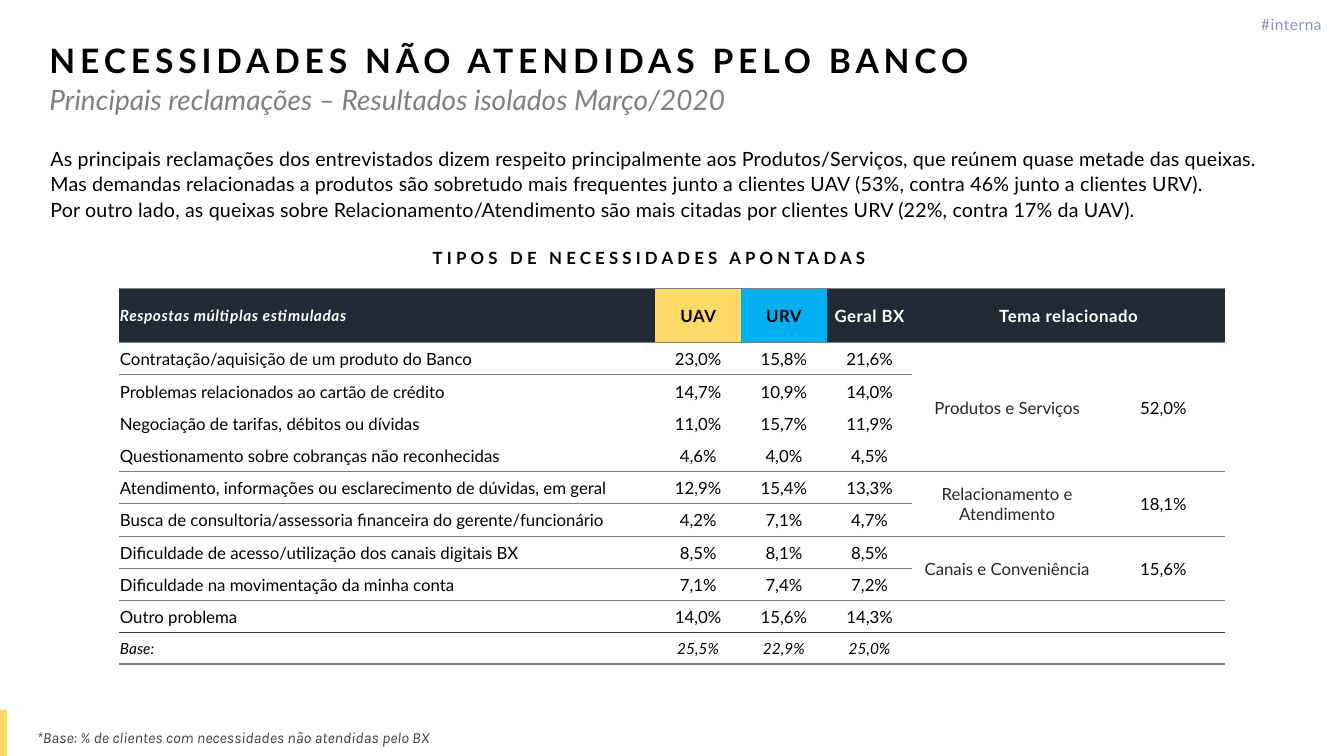
from pptx import Presentation
from pptx.dml.color import RGBColor
from pptx.enum.shapes import MSO_SHAPE
from pptx.enum.text import MSO_ANCHOR, MSO_AUTO_SIZE, PP_ALIGN
from pptx.oxml.ns import qn
from pptx.util import Inches, Pt
from lxml import etree

LEFT, CENTER, RIGHT = PP_ALIGN.LEFT, PP_ALIGN.CENTER, PP_ALIGN.RIGHT
TOP, MIDDLE = MSO_ANCHOR.TOP, MSO_ANCHOR.MIDDLE
NO_AUTOFIT = MSO_AUTO_SIZE.NONE
RECTANGLE = MSO_SHAPE.RECTANGLE

BLACK = RGBColor(0x00, 0x00, 0x00)
WHITE = RGBColor(0xFF, 0xFF, 0xFF)
GRAY = RGBColor(0x80, 0x80, 0x80)
RULE_GRAY = RGBColor(0x7F, 0x7F, 0x7F)
DARK_GRAY = RGBColor(0x40, 0x40, 0x40)
THEME_GRAY = RGBColor(0x26, 0x26, 0x26)
LABEL_BLUE = RGBColor(0x84, 0x97, 0xB0)
NAVY = RGBColor(0x22, 0x2B, 0x35)
YELLOW = RGBColor(0xFF, 0xD9, 0x66)
CYAN = RGBColor(0x00, 0xB0, 0xF0)

TITLE = "NECESSIDADES NÃO ATENDIDAS PELO BANCO"
SUBTITLE = "Principais reclamações – Resultados isolados Março/2020"
SUMMARY = (
    "As principais reclamações dos entrevistados dizem respeito principalmente aos "
    "Produtos/Serviços, que reúnem quase metade das queixas. Mas demandas relacionadas "
    "a produtos são sobretudo mais frequentes junto a clientes UAV (53%, contra 46% "
    "junto a clientes URV).\vPor outro lado, as queixas sobre Relacionamento/Atendimento "
    "são mais citadas por clientes URV (22%, contra 17% da UAV)."
)
TABLE_TITLE = "TIPOS DE NECESSIDADES APONTADAS"
FOOTNOTE = "*Base: % de clientes com necessidades não atendidas pelo BX"
CLASSIFICATION = "#interna"

HEADERS = [
    ("Respostas múltiplas estimuladas", NAVY, WHITE),
    ("UAV", YELLOW, BLACK),
    ("URV", CYAN, BLACK),
    ("Geral BX", NAVY, WHITE),
    ("Tema relacionado", NAVY, WHITE),
    ("", NAVY, WHITE),
]
ANSWERS = [
    ("Contratação/aquisição de um produto do Banco", "23,0%", "15,8%", "21,6%"),
    ("Problemas relacionados ao cartão de crédito", "14,7%", "10,9%", "14,0%"),
    ("Negociação de tarifas, débitos ou dívidas", "11,0%", "15,7%", "11,9%"),
    ("Questionamento sobre cobranças não reconhecidas", "4,6%", "4,0%", "4,5%"),
    ("Atendimento, informações ou esclarecimento de dúvidas, em geral", "12,9%", "15,4%", "13,3%"),
    ("Busca de consultoria/assessoria financeira do gerente/funcionário", "4,2%", "7,1%", "4,7%"),
    ("Dificuldade de acesso/utilização dos canais digitais BX", "8,5%", "8,1%", "8,5%"),
    ("Dificuldade na movimentação da minha conta", "7,1%", "7,4%", "7,2%"),
    ("Outro problema", "14,0%", "15,6%", "14,3%"),
    ("Base:", "25,5%", "22,9%", "25,0%"),
]
THEMES = [
    (1, 4, "Produtos e Serviços", "52,0%"),
    (5, 6, "Relacionamento e Atendimento", "18,1%"),
    (7, 8, "Canais e Conveniência", "15,6%"),
]
COLUMN_WIDTHS = [5.32, 0.85, 0.85, 0.85, 1.88, 1.22]
ROW_HEIGHTS = [0.54] + [0.32] * 9 + [0.31]
BASE_ROW = len(ANSWERS)
RULES = {
    0: (RULE_GRAY, 1),
    1: (RULE_GRAY, 1),
    5: (RULE_GRAY, 0.5),
    7: (RULE_GRAY, 0.5),
    9: (RULE_GRAY, 0.5),
    10: (DARK_GRAY, 0.5),
    11: (RULE_GRAY, 1),
}
NO_STYLE_NO_GRID = "{2D5ABB26-0587-4C30-8999-92F81FD0307C}"


def write(frame, text, size, color, font="Lato", bold=False, italic=False,
          align=LEFT, spacing=0, line=None):
    """Fill a text frame with one formatted paragraph."""
    paragraph = frame.paragraphs[0]
    paragraph.text = text
    paragraph.alignment = align
    paragraph.space_before = Pt(0)
    if line:
        paragraph.line_spacing = line
    paragraph.font.name = font
    paragraph.font.size = Pt(size)
    paragraph.font.bold = bold
    paragraph.font.italic = italic
    paragraph.font.color.rgb = color
    if spacing:
        for run in paragraph.runs:
            run._r.get_or_add_rPr().set("spc", str(round(spacing * 100)))


def format_frame(frame, left=0, right=0, anchor=TOP):
    """Set the wrapping, margins and anchor of a text frame."""
    frame.word_wrap = True
    frame.auto_size = NO_AUTOFIT
    frame.margin_left, frame.margin_right = Inches(left), Inches(right)
    frame.margin_top = frame.margin_bottom = Inches(0.05)
    frame.vertical_anchor = anchor


def add_text(slide, box, text, size, color, margins=(0, 0), **style):
    """Add a text box with one paragraph."""
    frame = slide.shapes.add_textbox(*map(Inches, box)).text_frame
    format_frame(frame, *margins)
    write(frame, text, size, color, **style)


def add_rule(cell, side, boundary):
    """Draw the horizontal rule of a row boundary on one side of a cell."""
    if boundary not in RULES:
        return
    color, width = RULES[boundary]
    border = etree.SubElement(cell._tc.get_or_add_tcPr(), qn(side), w=str(Pt(width)))
    fill = etree.SubElement(border, qn("a:solidFill"))
    etree.SubElement(fill, qn("a:srgbClr"), val=str(color))


def fill_cell(cell, text, size, color, **style):
    """Write a table cell with tight margins, centred vertically."""
    cell.margin_left = cell.margin_right = cell.margin_top = Inches(0.01)
    cell.margin_bottom = 0
    cell.vertical_anchor = MIDDLE
    write(cell.text_frame, text, size, color, **style)


def add_needs_table(slide):
    """Add the table of needs with its merged themes."""
    frame = slide.shapes.add_table(
        len(ROW_HEIGHTS), len(COLUMN_WIDTHS), Inches(1.18), Inches(2.86),
        Inches(sum(COLUMN_WIDTHS)), Inches(sum(ROW_HEIGHTS)))
    table = frame.table
    table.first_row = table.horz_banding = False
    table._tbl.tblPr.find(qn("a:tableStyleId")).text = NO_STYLE_NO_GRID
    for column, width in zip(table.columns, COLUMN_WIDTHS):
        column.width = Inches(width)
    for row, height in zip(table.rows, ROW_HEIGHTS):
        row.height = Inches(height)

    table.cell(0, 4).merge(table.cell(0, 5))
    theme_texts = {}
    for first, last, theme, share in THEMES:
        for column, text, color in ((4, theme, THEME_GRAY), (5, share, BLACK)):
            table.cell(first, column).merge(table.cell(last, column))
            theme_texts[first, column] = text, color

    for row in range(len(ROW_HEIGHTS)):
        for column, (heading, heading_fill, heading_color) in enumerate(HEADERS):
            cell = table.cell(row, column)
            add_rule(cell, "a:lnT", row)
            add_rule(cell, "a:lnB", row + (cell.span_height if cell.is_merge_origin else 1))
            align = CENTER if column else LEFT
            if row == 0:
                cell.fill.solid()
                cell.fill.fore_color.rgb = heading_fill
                fill_cell(cell, heading, 12 if column else 11, heading_color, bold=True,
                          italic=column == 0, align=align, spacing=0.4)
                continue
            cell.fill.background()
            if column < 4:
                text, color = ANSWERS[row - 1][column], BLACK
            else:
                text, color = theme_texts.get((row, column), ("", BLACK))
            is_base = row == BASE_ROW
            fill_cell(cell, text, 11 if is_base else 12, color, italic=is_base, align=align)


def main():
    """Build the slide and save it."""
    presentation = Presentation()
    presentation.slide_width, presentation.slide_height = Inches(13.33), Inches(7.5)
    slide = presentation.slides.add_slide(presentation.slide_layouts[5])

    accent = slide.shapes.add_shape(RECTANGLE, 0, Inches(7.04), Inches(0.07), Inches(0.46))
    accent.shadow.inherit = False
    accent.fill.solid()
    accent.fill.fore_color.rgb = YELLOW
    accent.line.fill.background()

    title = slide.shapes.title
    title.left, title.top = Inches(0.49), Inches(0.39)
    title.width, title.height = Inches(12.32), Inches(0.46)
    format_frame(title.text_frame, 0, 0.1, MIDDLE)
    write(title.text_frame, TITLE, 24, BLACK, bold=True, spacing=3.5, line=0.9)

    add_text(slide, (0.49, 0.81, 12.32, 0.5), SUBTITLE, 20, GRAY, italic=True, line=0.9)
    add_text(slide, (1.06, 2.41, 10.86, 0.3), TABLE_TITLE, 12, BLACK, (0, 0.1),
             bold=True, align=CENTER, spacing=3)
    add_needs_table(slide)
    add_text(slide, (0.27, 7.17, 5.53, 0.29), FOOTNOTE, 11, DARK_GRAY, (0.1, 0.1),
             font="Karla", italic=True)
    add_text(slide, (12.17, 0.08, 0.94, 0.29), CLASSIFICATION, 11, LABEL_BLUE,
             align=RIGHT, spacing=0.4, line=1.1)
    add_text(slide, (0.5, 1.38, 12.32, 0.88), SUMMARY, 14, BLACK, spacing=0.1, line=1.1)
    presentation.save("out.pptx")


if __name__ == "__main__":
    main()
